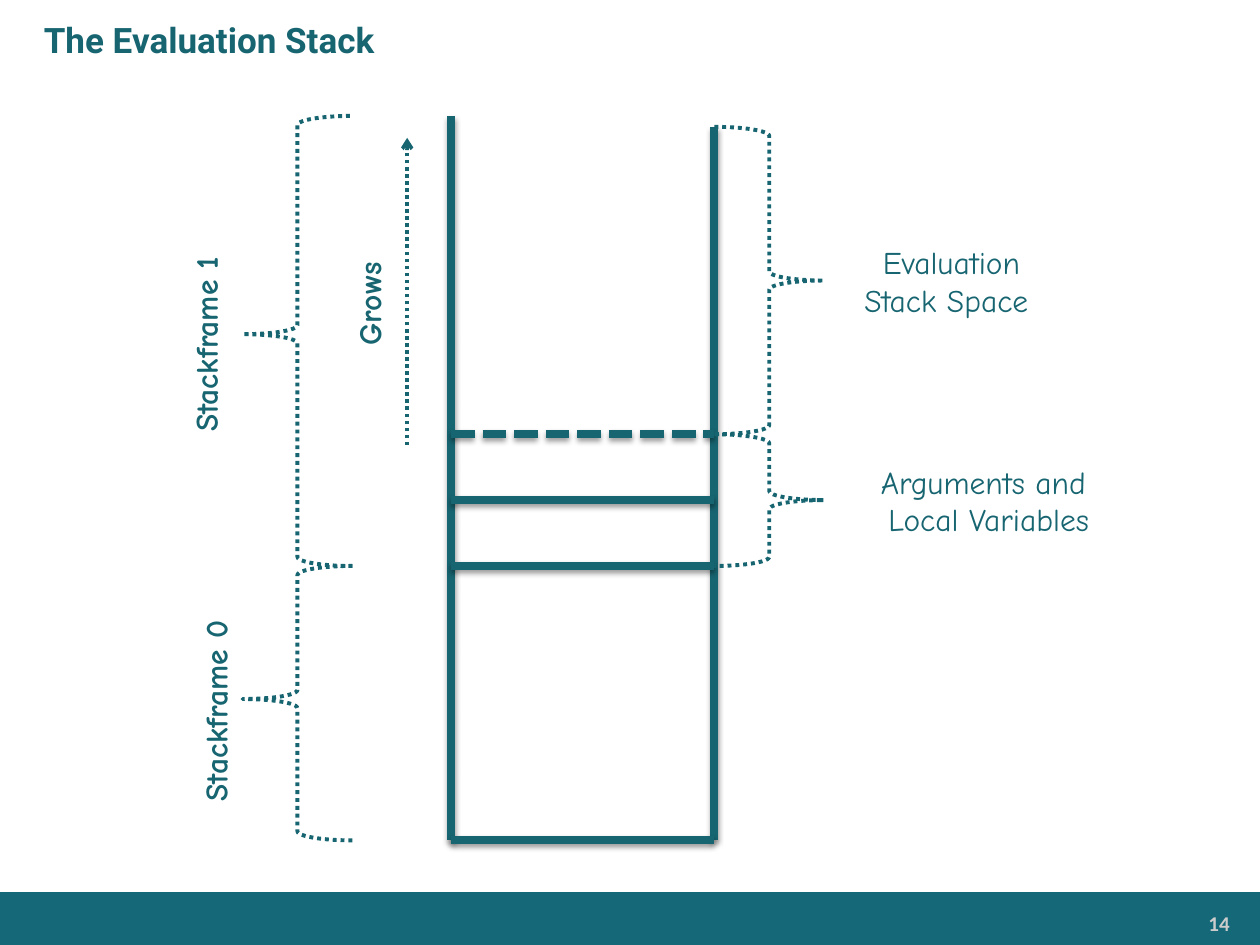
import pptx
import pptx.util
from lxml import etree
from pptx.dml.color import RGBColor
from pptx.enum.dml import MSO_LINE
from pptx.enum.shapes import MSO_CONNECTOR, MSO_SHAPE
from pptx.enum.text import MSO_ANCHOR, PP_ALIGN
from pptx.oxml import parse_xml
from pptx.oxml.ns import nsdecls, qn
from pptx.util import Inches, Pt

TEAL = RGBColor(0x17, 0x65, 0x71)
BAR = RGBColor(0x14, 0x68, 0x78)
GREY = RGBColor(0xCC, 0xCC, 0xCC)
W, H = 10, 7.5
ROWS, COLS = 66, 24  # the stack is 66 units high and 24 units wide
EVAL_TOP, ARGS_TOP, ARGS_MID, FRAME_0 = 1, 29, 35, 41
BRACE = 10  # units
SHADOW = (f'<a:effectLst {nsdecls("a")}><a:outerShdw blurRad="{Pt(3.1)}" dist="{Pt(1.6)}" '
          'dir="5400000" rotWithShape="0"><a:srgbClr val="000000"><a:alpha val="38000"/>'
          '</a:srgbClr></a:outerShdw></a:effectLst>')
NO_EFFECT = f'<a:effectLst {nsdecls("a")}/>'


def add_text(slide, box, lines, size, font, color=TEAL, bold=False, aligns=(PP_ALIGN.CENTER,),
             wrap=False):
    s = slide.shapes.add_textbox(*map(Inches, box))
    tf = s.text_frame
    tf.word_wrap = wrap
    for i, line in enumerate(lines):
        p = tf.paragraphs[0] if i == 0 else tf.add_paragraph()
        p.text = line
        p.alignment = aligns[min(i, len(aligns) - 1)]
        p.font.size, p.font.name, p.font.bold = Pt(size), font, bold
        p.font.color.rgb = color
    return s


def add_title(slide, box):
    s = add_text(slide, box, ["The Evaluation Stack"], 20, "Roboto", bold=True,
                 aligns=(PP_ALIGN.LEFT,), wrap=True)
    s.text_frame.vertical_anchor = MSO_ANCHOR.MIDDLE
    s.text_frame.paragraphs[0]._p.get_or_add_pPr().set("marL", str(Inches(0.25)))


def add_footer(slide, box):
    x, y, w, h = box
    s = slide.shapes.add_shape(MSO_SHAPE.RECTANGLE, *map(Inches, box))
    s.shadow.inherit = False
    s.fill.solid()
    s.fill.fore_color.rgb = BAR
    s.line.fill.background()
    number = add_text(slide, (x + 0.82 * w, y + 0.11, 0.163 * w, 0.28), ["14"], 12, "Calibri",
                      GREY, True, (PP_ALIGN.RIGHT,), True)
    tf = number.text_frame
    tf.margin_left = tf.margin_right = Inches(0.07)
    tf.margin_top = tf.margin_bottom = Inches(0.04)


def add_stack(slide, box):
    """Draw the stack in its box, with braces, labels and arrow placed in grid units."""
    left, top, width, height = box
    col, row = width / COLS, height / ROWS

    def at(c, r):
        return Inches(left + c * col), Inches(top + r * row)

    def line(start, end, weight=4.5, dash=None, effect=SHADOW):
        c = slide.shapes.add_connector(MSO_CONNECTOR.STRAIGHT, *at(*start), *at(*end))
        c.line.color.rgb = TEAL
        c.line.width = Pt(weight)
        if dash:
            c.line.dash_style = dash
        c._element.spPr.append(parse_xml(effect))
        return c

    def brace(kind, c, r0, r1, tip):
        s = slide.shapes.add_shape(kind, *at(c, r0), Inches(BRACE * col), Inches((r1 - r0) * row))
        s.shadow.inherit = False
        s.adjustments[0], s.adjustments[1] = 0.083, tip
        s.fill.background()
        s.line.color.rgb = TEAL
        s.line.width = Pt(2.25)
        s.line.dash_style = MSO_LINE.ROUND_DOT

    def label(lines, center, size, upright=True, **style):
        """Centre a label on a grid point; a label that is not upright reads upwards."""
        w, h = size
        x, y = left + center[0] * col, top + center[1] * row
        s = add_text(slide, (x - w / 2, y - h / 2, w, h), lines, 18, "Comic Neue",
                     bold=not upright, **style)
        s.rotation = 0 if upright else 270

    line((0, 0), (0, ROWS))
    line((COLS, EVAL_TOP), (COLS, ROWS))
    for r, dash in ((ROWS, None), (FRAME_0, None), (ARGS_TOP, MSO_LINE.SQUARE_DOT),
                    (ARGS_MID, None)):
        line((0, r), (COLS, r), dash=dash)

    for r0, r1 in ((FRAME_0, ROWS), (0, FRAME_0)):
        brace(MSO_SHAPE.LEFT_BRACE, -19, r0, r1, 0.485)
    for r0, r1 in ((ARGS_TOP, FRAME_0), (EVAL_TOP, ARGS_TOP)):
        brace(MSO_SHAPE.RIGHT_BRACE, COLS, r0, r1, 0.5)

    label(["Stackframe 1"], (-22.4, 20.8), (1.73, 0.4), upright=False)
    label(["Stackframe 0"], (-21.5, 54.2), (1.73, 0.4), upright=False)
    label(["Evaluation", "Stack Space"], (45.6, 15.1), (1.58, 0.71),
          aligns=(PP_ALIGN.CENTER, PP_ALIGN.LEFT))
    label(["Arguments and ", "Local Variables"], (49, 35.1), (2.06, 0.71))

    arrow = line((-4, 30), (-4, 2), 2, MSO_LINE.ROUND_DOT, NO_EFFECT)
    etree.SubElement(arrow.line._get_or_add_ln(), qn("a:tailEnd"), type="arrow")
    label(["Grows"], (-7.5, 17.1), (0.89, 0.4), upright=False)


def main():
    prs = pptx.Presentation()
    prs.slide_width, prs.slide_height = Inches(W), Inches(H)
    slide = prs.slides.add_slide(prs.slide_layouts[6])
    add_footer(slide, (0, 7.08, W, 0.43))
    add_title(slide, (0, 0, W, 0.63))
    add_stack(slide, (3.58, 0.92, 2.09, 5.75))
    prs.save("out.pptx")


if __name__ == "__main__":
    main()
